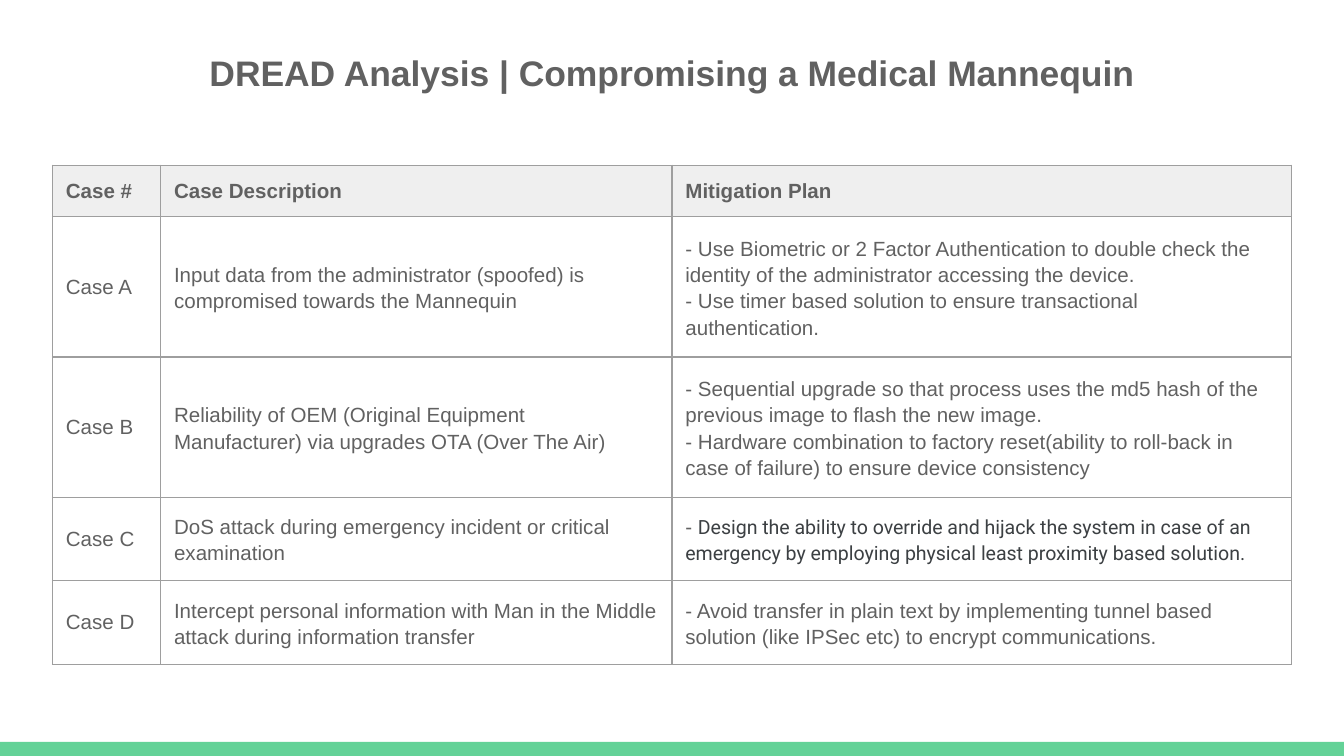
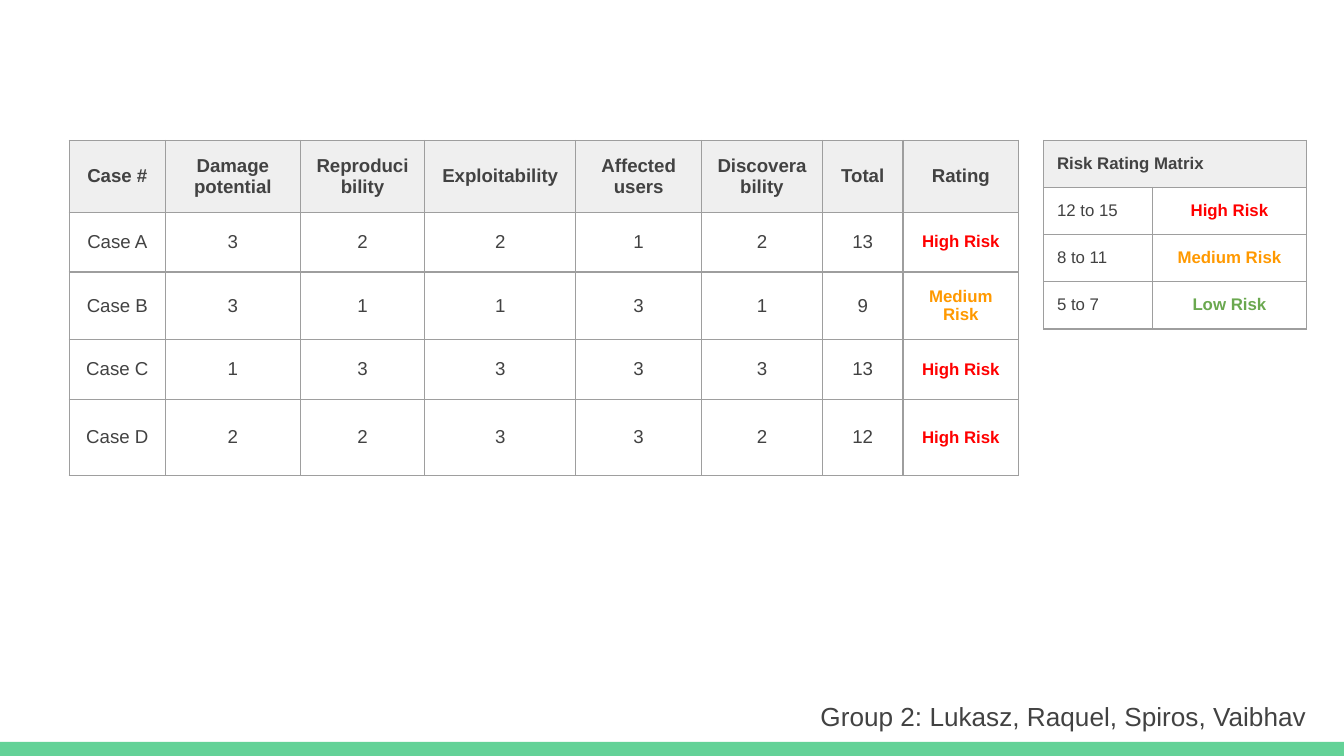
from dataclasses import dataclass, replace
from typing import Any, Mapping, Optional, Sequence

from lxml.etree import SubElement
from pptx import Presentation
from pptx.dml.color import RGBColor
from pptx.enum.shapes import MSO_SHAPE
from pptx.enum.text import MSO_ANCHOR, MSO_AUTO_SIZE, PP_ALIGN
from pptx.oxml.ns import qn
from pptx.slide import Slide
from pptx.table import _Cell
from pptx.text.text import TextFrame
from pptx.util import Emu, Pt

PIXEL = 4572
SLIDE_WIDTH, SLIDE_HEIGHT = 2000, 1125
BAND_HEIGHT = 21
MARGIN = 20
FRAME_SIZE = 656
BORDER_POINTS = 0.75

GREEN_BAND = RGBColor(0x63, 0xD2, 0x97)
HEADER_FILL = RGBColor(0xEF, 0xEF, 0xEF)
BORDER = RGBColor(0x9E, 0x9E, 0x9E)
GREY = RGBColor(0x61, 0x61, 0x61)
DARK = RGBColor(0x42, 0x42, 0x42)
INK = RGBColor(0x3C, 0x40, 0x43)
RED = RGBColor(0xFF, 0x00, 0x00)
ORANGE = RGBColor(0xFF, 0x99, 0x00)
LEAF = RGBColor(0x6A, 0xA8, 0x4F)


@dataclass(frozen=True)
class Box:
    left: int
    top: int
    width: int
    height: int


@dataclass(frozen=True)
class TextStyle:
    size: float
    color: RGBColor
    bold: bool = False
    font: str = "Arial"
    align: PP_ALIGN = PP_ALIGN.LEFT
    spacing: Optional[float] = None


@dataclass(frozen=True)
class Span:
    text: str
    style: TextStyle


Paragraph = Sequence[Span]


@dataclass(frozen=True)
class Grid:
    left: int
    top: int
    columns: Sequence[int]
    rows: Sequence[int]
    cells: Sequence[Sequence[Sequence[Paragraph]]]
    anchor: MSO_ANCHOR = MSO_ANCHOR.MIDDLE


TITLE = TextStyle(19, GREY, bold=True, align=PP_ALIGN.CENTER)
CREDIT = TextStyle(14, DARK, align=PP_ALIGN.RIGHT)
CASE = TextStyle(11, GREY)
CASE_HEADER = replace(CASE, bold=True)
CASE_BODY = replace(CASE, spacing=1.15)
OVERRIDE = replace(CASE_BODY, size=10.5, color=INK, font="Roboto")
SCORE = TextStyle(10, DARK, align=PP_ALIGN.CENTER)
SCORE_HEADER = replace(SCORE, bold=True)
RANGE = TextStyle(9, DARK)
RANGE_HEADER = replace(RANGE, bold=True)
RISKS = {
    name: replace(RANGE_HEADER, color=color, align=PP_ALIGN.CENTER)
    for name, color in (("High Risk", RED), ("Medium Risk", ORANGE), ("Low Risk", LEAF))
}

TITLE_BOX = Box(237, 56, 1526, 104)
CREDIT_BOX = Box(784, 1022, 1180, 88)

CASE_HEADERS = ("Case #", "Case Description", "Mitigation Plan")
CASES = (
    ("Case A",
     "Input data from the administrator (spoofed) is compromised towards the Mannequin",
     ("- Use Biometric or 2 Factor Authentication to double check the identity of "
      "the administrator accessing the device.",
      "- Use timer based solution to ensure transactional authentication.")),
    ("Case B",
     "Reliability of OEM (Original Equipment Manufacturer) via upgrades OTA (Over The Air)",
     ("- Sequential upgrade so that process uses the md5 hash of the previous image "
      "to flash the new image.",
      "- Hardware combination to factory reset(ability to roll-back in case of failure) "
      "to ensure device consistency")),
    ("Case C",
     "DoS attack during emergency incident or critical examination",
     ((Span("- ", CASE_BODY),
       Span("Design the ability to override and hijack the system in case of an emergency "
            "by employing physical least proximity based solution.", OVERRIDE)),)),
    ("Case D",
     "Intercept personal information with Man in the Middle attack during information transfer",
     ("- Avoid transfer in plain text by implementing tunnel based solution "
      "(like IPSec etc) to encrypt communications.",)),
)

SCORE_HEADERS = ("Case #", "Damage potential", "Reproducibility", "Exploitability",
                 "Affected users", "Discoverability", "Total", "Rating")
SCORES = (
    ("Case A", (3, 2, 2, 1, 2), 13, "High Risk"),
    ("Case B", (3, 1, 1, 3, 1), 9, "Medium Risk"),
    ("Case C", (1, 3, 3, 3, 3), 13, "High Risk"),
    ("Case D", (2, 2, 3, 3, 2), 12, "High Risk"),
)
RANGES = (("12 to 15", "High Risk"), ("8 to 11", "Medium Risk"), ("5 to 7", "Low Risk"))


def px(length: int) -> Emu:
    return Emu(length * PIXEL)


def set_values(target: Any, values: Mapping[str, Any]) -> None:
    for name, value in values.items():
        setattr(target, name, value)


def geometry(box: Box) -> dict[str, Emu]:
    return {name: px(getattr(box, name)) for name in ("left", "top", "width", "height")}


def margins() -> dict[str, Emu]:
    return {f"margin_{side}": px(MARGIN) for side in ("left", "right", "top", "bottom")}


def line(text: str, style: TextStyle) -> Paragraph:
    return (Span(text, style),)


def lines(texts: Sequence[str], style: TextStyle) -> list[Sequence[Paragraph]]:
    return [(line(text, style),) for text in texts]


def write_text(frame: TextFrame, paragraphs: Sequence[Paragraph]) -> None:
    for index, spans in enumerate(paragraphs):
        para = frame.add_paragraph() if index else frame.paragraphs[0]
        set_values(para, {"alignment": spans[0].style.align,
                          "line_spacing": spans[0].style.spacing})
        for span in spans:
            run = para.add_run()
            run.text = span.text
            set_values(run.font, {"name": span.style.font, "size": Pt(span.style.size),
                                  "bold": span.style.bold})
            run.font.color.rgb = span.style.color


def format_text_shape(shape: Any, box: Box, text: str, style: TextStyle) -> None:
    set_values(shape, geometry(box))
    frame = shape.text_frame
    set_values(frame, {**margins(), "word_wrap": True, "vertical_anchor": MSO_ANCHOR.TOP,
                       "auto_size": MSO_AUTO_SIZE.SHAPE_TO_FIT_TEXT})
    write_text(frame, [line(text, style)])


def add_band(page: Slide) -> None:
    box = Box(0, SLIDE_HEIGHT - BAND_HEIGHT, SLIDE_WIDTH, BAND_HEIGHT)
    band = page.shapes.add_shape(MSO_SHAPE.RECTANGLE, **geometry(box))
    band.shadow.inherit = False
    band.fill.solid()
    band.fill.fore_color.rgb = GREEN_BAND
    band.line.fill.background()


def format_cell(cell: _Cell, is_header: bool, anchor: MSO_ANCHOR) -> None:
    set_values(cell, {**margins(), "vertical_anchor": anchor})
    properties = cell._tc.get_or_add_tcPr()
    for side in ("lnL", "lnR", "lnT", "lnB"):
        edge = SubElement(properties, qn(f"a:{side}"), w=str(Pt(BORDER_POINTS)))
        fill = SubElement(edge, qn("a:solidFill"))
        SubElement(fill, qn("a:srgbClr"), val=str(BORDER))
    if is_header:
        cell.fill.solid()
        cell.fill.fore_color.rgb = HEADER_FILL
    else:
        cell.fill.background()


def add_grid(page: Slide, grid: Grid) -> None:
    frame_box = geometry(Box(grid.left, grid.top, FRAME_SIZE, FRAME_SIZE))
    frame = page.shapes.add_table(len(grid.rows), len(grid.columns), **frame_box)
    table = frame.table
    set_values(table, {"first_row": False, "horz_banding": False})
    for column, width in zip(table.columns, grid.columns):
        column.width = px(width)
    last = len(grid.columns) - 1
    for row_index, (height, contents) in enumerate(zip(grid.rows, grid.cells)):
        table.rows[row_index].height = px(height)
        for cell in table.rows[row_index].cells:
            format_cell(cell, row_index == 0, grid.anchor)
        if len(contents) <= last:
            table.cell(row_index, len(contents) - 1).merge(table.cell(row_index, last))
        for column_index, paragraphs in enumerate(contents):
            write_text(table.cell(row_index, column_index).text_frame, paragraphs)
    set_values(frame, frame_box)


def case_grid() -> Grid:
    cells = [lines(CASE_HEADERS, CASE_HEADER)]
    for name, description, plan in CASES:
        steps = [line(step, CASE_BODY) if isinstance(step, str) else step for step in plan]
        cells.append([(line(name, CASE),), (line(description, CASE_BODY),), steps])
    return Grid(78, 246, (161, 761, 922), (46, 72, 124, 96, 74), cells)


def score_grid() -> Grid:
    cells = [lines(SCORE_HEADERS, SCORE_HEADER)]
    for name, scores, total, risk in SCORES:
        texts = [name, *map(str, scores), str(total)]
        cells.append(lines(texts, SCORE) + lines([risk], RISKS[risk]))
    return Grid(103, 209, (143, 201, 185, 225, 187, 180, 120, 172),
                (104, 89, 98, 89, 114), cells)


def matrix_grid() -> Grid:
    cells = [lines(["Risk Rating Matrix"], RANGE_HEADER)]
    for span, risk in RANGES:
        cells.append(lines([span], RANGE) + lines([risk], RISKS[risk]))
    return Grid(1553, 209, (162, 229), (0,) * len(cells), cells, MSO_ANCHOR.TOP)


def main() -> None:
    deck = Presentation()
    set_values(deck, {"slide_width": px(SLIDE_WIDTH), "slide_height": px(SLIDE_HEIGHT)})
    title_only, blank = deck.slide_layouts[5], deck.slide_layouts[6]

    analysis = deck.slides.add_slide(title_only)
    add_band(analysis)
    add_grid(analysis, case_grid())
    format_text_shape(analysis.shapes.title, TITLE_BOX,
                      "DREAD Analysis | Compromising a Medical Mannequin", TITLE)

    ratings = deck.slides.add_slide(blank)
    add_band(ratings)
    for grid in (score_grid(), matrix_grid()):
        add_grid(ratings, grid)
    credit = ratings.shapes.add_textbox(**geometry(CREDIT_BOX))
    format_text_shape(credit, CREDIT_BOX, "Group 2: Lukasz, Raquel, Spiros, Vaibhav", CREDIT)

    deck.save("out.pptx")


if __name__ == "__main__":
    main()
